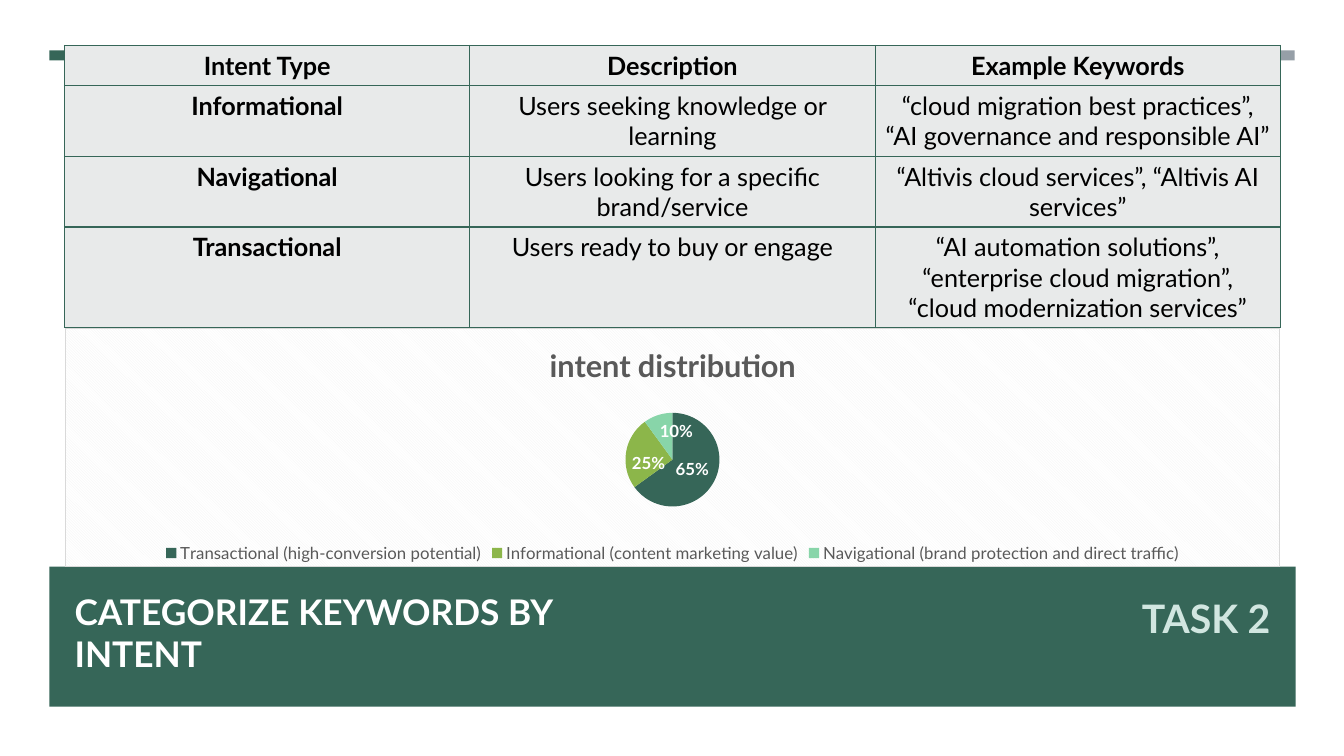
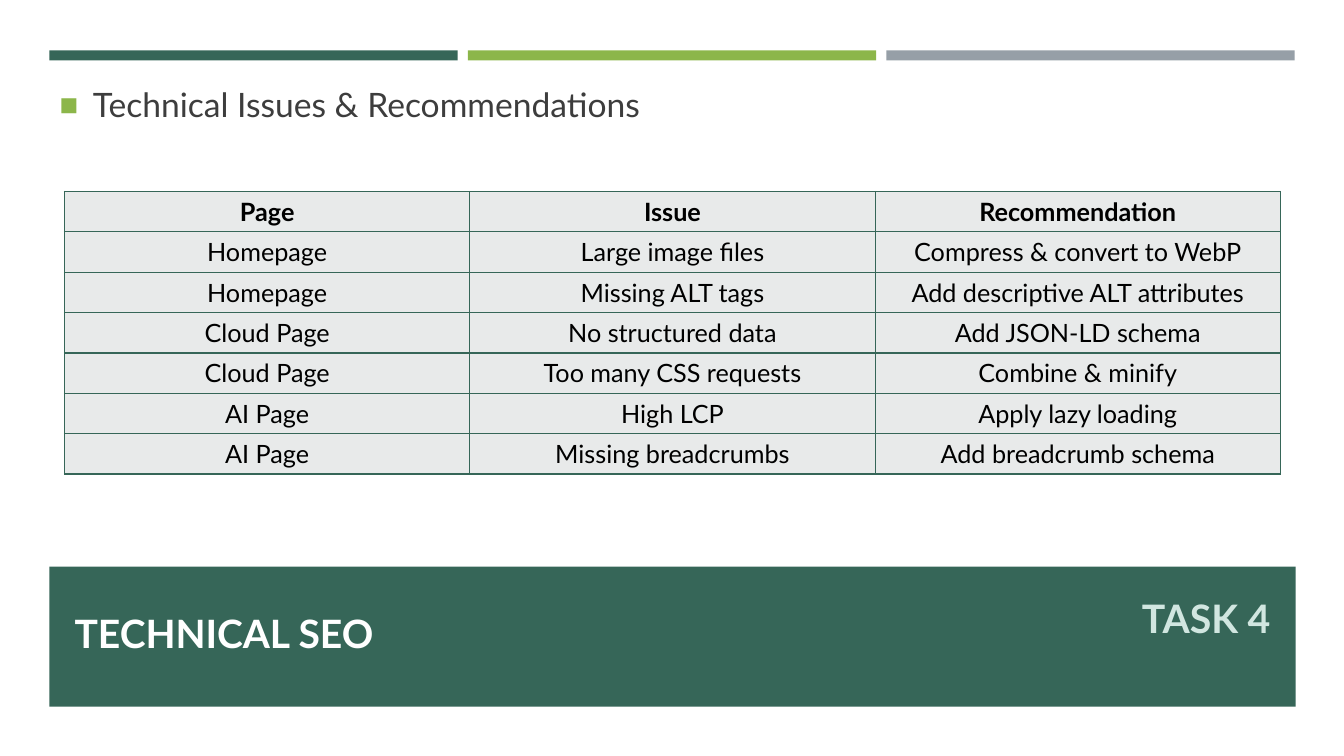
from lxml import etree
from pptx import Presentation
from pptx import util as u
from pptx import oxml
from pptx.chart import data as chart_data
from pptx.dml.color import RGBColor
from pptx.enum import chart as chart_enum
from pptx.enum import shapes, text
from pptx.oxml import ns

GREEN = RGBColor(0x36, 0x66, 0x58)
LIME = RGBColor(0x8C, 0xB6, 0x4A)
MINT = RGBColor(0x88, 0xD5, 0xA9)
SLATE = RGBColor(0x96, 0x9F, 0xA7)
PALE_MINT = RGBColor(0xD1, 0xE6, 0xE0)
CELL_GRAY = RGBColor(0xE8, 0xEA, 0xEA)
CHART_GRAY = RGBColor(0x59, 0x59, 0x59)
BODY_GRAY = RGBColor(0x3D, 0x3D, 0x3D)
WHITE = RGBColor(0xFF, 0xFF, 0xFF)
BLACK = RGBColor(0, 0, 0)
FONT = "Lato"
LEFT, CENTER, RIGHT = text.PP_ALIGN.LEFT, text.PP_ALIGN.CENTER, text.PP_ALIGN.RIGHT
TABLE_LEFT, TABLE_WIDTH = 0.64, 12.06


def write(holder, content, size, color, bold=False, align=LEFT, box=None, bullet=None):
    """Fill a cell or placeholder with one formatted paragraph; box moves it."""
    if box:
        holder.left, holder.top, holder.width, holder.height = map(u.Inches, box)
        holder.text_frame.auto_size = text.MSO_AUTO_SIZE.NONE
        holder.text_frame.word_wrap = True
    holder.text_frame.text = content
    holder.text_frame.vertical_anchor = text.MSO_ANCHOR.MIDDLE
    paragraph = holder.text_frame.paragraphs[0]
    paragraph.alignment = align
    paragraph.space_before = paragraph.space_after = u.Pt(0)
    font = paragraph.runs[0].font
    font.name, font.size, font.bold = FONT, u.Pt(size), bold
    font.color.rgb = color
    props = paragraph._p.get_or_add_pPr()
    indent = u.Inches(0.33) if bullet else 0
    props.set("marL", str(indent))
    props.set("indent", str(-indent))
    if bullet:
        bullet_color = etree.SubElement(props, ns.qn("a:buClr"))
        etree.SubElement(bullet_color, ns.qn("a:srgbClr"), val=str(LIME))
        etree.SubElement(props, ns.qn("a:buSzPct"), val="92000")
        etree.SubElement(props, ns.qn("a:buChar"), char=bullet)
    else:
        etree.SubElement(props, ns.qn("a:buNone"))


def add_grid(slide, top, rows, heights, bold_first_column=False):
    table = slide.shapes.add_table(
        len(rows), len(rows[0]), u.Inches(TABLE_LEFT), u.Inches(top),
        u.Inches(TABLE_WIDTH), u.Inches(sum(heights))).table
    table.first_row = table.horz_banding = False
    for row, (words, height) in enumerate(zip(rows, heights)):
        table.rows[row].height = u.Inches(height)
        for column, word in enumerate(words):
            cell = table.cell(row, column)
            bold = row == 0 or (bold_first_column and column == 0)
            write(cell, word, 18, BLACK, bold=bold, align=CENTER)
            props = cell._tc.get_or_add_tcPr()
            for side in ("lnL", "lnR", "lnT", "lnB"):
                border = etree.SubElement(props, ns.qn("a:" + side), w=str(u.Pt(1)))
                solid = etree.SubElement(border, ns.qn("a:solidFill"))
                etree.SubElement(solid, ns.qn("a:srgbClr"), val=str(GREEN))
            cell.fill.solid()
            cell.fill.fore_color.rgb = CELL_GRAY


prs = Presentation()
prs.slide_width, prs.slide_height = u.Inches(13.33), u.Inches(7.5)
intent_slide = prs.slides.add_slide(prs.slide_layouts[1])
seo_slide = prs.slides.add_slide(prs.slide_layouts[3])

# Bars and title band are moved to the master, so both slides show them
bands = [(0.49 + 4.15 * i, 0.5, 4.05, 0.1, color)
         for i, color in enumerate((GREEN, LIME, SLATE))]
bands.append((0.49, 5.62, 12.36, 1.39, GREEN))
master_tree = prs.slide_master.element.cSld.spTree
for place, (*box, color) in enumerate(bands, start=2):
    band = intent_slide.shapes.add_shape(shapes.MSO_SHAPE.RECTANGLE, *map(u.Inches, box))
    band.shadow.inherit = False
    band.fill.solid()
    band.fill.fore_color.rgb = color
    band.line.fill.background()
    master_tree.insert(place, band.element)

for slide, title, title_size, task in (
        (intent_slide, "CATEGORIZE KEYWORDS BY INTENT", 25.2, "TASK 2"),
        (seo_slide, "TECHNICAL SEO", 27.9, "TASK 4")):
    write(slide.shapes.title, title, title_size, WHITE, bold=True,
          box=(0.64, 5.9, 5.37, 0.75))
    write(slide.placeholders[1], task, 28, PALE_MINT, bold=True, align=RIGHT,
          box=(6.28, 5.75, 6.42, 0.75))

# Slide 1: keyword intents
add_grid(intent_slide, 0.45, [
    ("Intent Type", "Description", "Example Keywords"),
    ("Informational", "Users seeking knowledge or learning",
     "“cloud migration best practices”, “AI governance and responsible AI”"),
    ("Navigational", "Users looking for a specific brand/service",
     "“Altivis cloud services”, “Altivis AI services”"),
    ("Transactional", "Users ready to buy or engage",
     "“AI automation solutions”, “enterprise cloud migration”, "
     "“cloud modernization services”"),
], (0.4, 0.7, 0.7, 1), bold_first_column=True)

intents = chart_data.CategoryChartData(number_format="0")
intents.categories = ["Transactional (high-conversion potential)",
                      "Informational (content marketing value)",
                      "Navigational (brand protection and direct traffic)"]
intents.add_series("intent distribution", (65, 25, 10))
pie = intent_slide.shapes.add_chart(
    chart_enum.XL_CHART_TYPE.PIE, u.Inches(TABLE_LEFT), u.Inches(3.25),
    u.Inches(TABLE_WIDTH), u.Inches(2.38), intents).chart
pie.font.name, pie.font.size = FONT, u.Pt(10)
pie.has_title = pie.has_legend = True
pie.chart_title.text_frame.text = "intent distribution"
pie.legend.position = chart_enum.XL_LEGEND_POSITION.BOTTOM
pie.legend.include_in_layout = False
plot = pie.plots[0]
plot.vary_by_categories = True
plot.has_data_labels = True
labels = plot.data_labels
labels.show_percentage, labels.show_value = True, False
labels.number_format, labels.number_format_is_linked = "0%", False
labels.position = chart_enum.XL_LABEL_POSITION.INSIDE_END
title_font = pie.chart_title.text_frame.paragraphs[0].runs[0].font
for font, size, color, bold in ((title_font, 22, CHART_GRAY, True),
                                (pie.legend.font, 12, CHART_GRAY, False),
                                (labels.font, 12, WHITE, True)):
    font.name, font.size, font.bold = FONT, u.Pt(size), bold
    font.color.rgb = color
for i, color in enumerate((GREEN, LIME, MINT)):
    wedge = plot.series[0].points[i].format
    wedge.fill.solid()
    wedge.fill.fore_color.rgb = color
    wedge.line.fill.background()
chart_background = oxml.parse_xml(
    f'<c:spPr {ns.nsdecls("c", "a")}><a:pattFill prst="dkDnDiag">'
    '<a:fgClr><a:srgbClr val="F2F2F2"/></a:fgClr>'
    '<a:bgClr><a:srgbClr val="FFFFFF"/></a:bgClr></a:pattFill>'
    f'<a:ln w="{u.Pt(0.75)}"><a:solidFill><a:srgbClr val="D9D9D9"/></a:solidFill></a:ln>'
    '</c:spPr>')
pie.element.find(ns.qn("c:chart")).addnext(chart_background)

# Slide 2: technical issues
write(seo_slide.placeholders[2], "Technical Issues & Recommendations", 24, BODY_GRAY,
      box=(0.49, 0.66, 6.63, 0.75), bullet="■")
issues = [
    ("Page", "Issue", "Recommendation"),
    ("Homepage", "Large image files", "Compress & convert to WebP"),
    ("Homepage", "Missing ALT tags", "Add descriptive ALT attributes"),
    ("Cloud Page", "No structured data", "Add JSON-LD schema"),
    ("Cloud Page", "Too many CSS requests", "Combine & minify"),
    ("AI Page", "High LCP", "Apply lazy loading"),
    ("AI Page", "Missing breadcrumbs", "Add breadcrumb schema"),
]
add_grid(seo_slide, 1.9, issues, [0.4] * len(issues))

prs.save("out.pptx")
